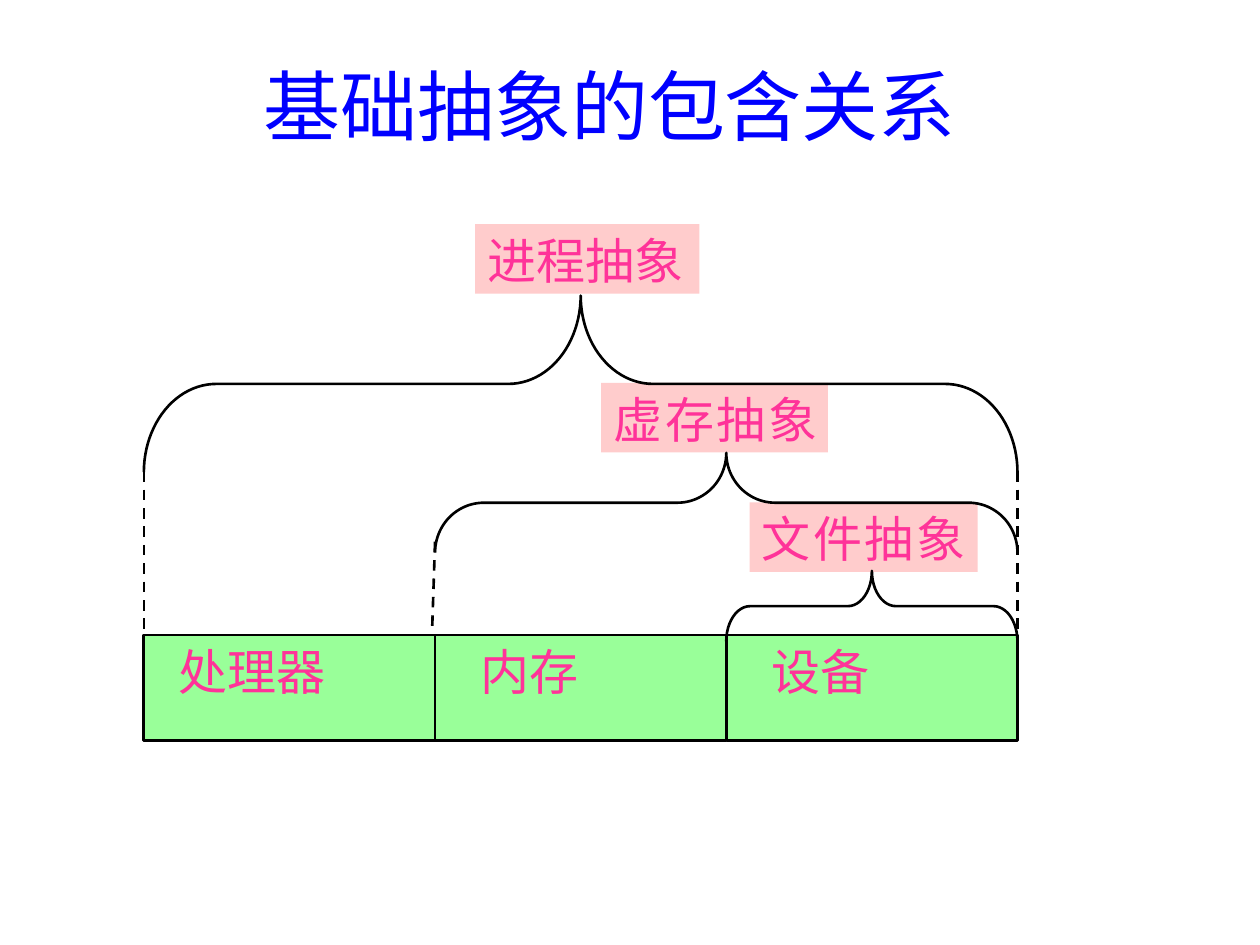
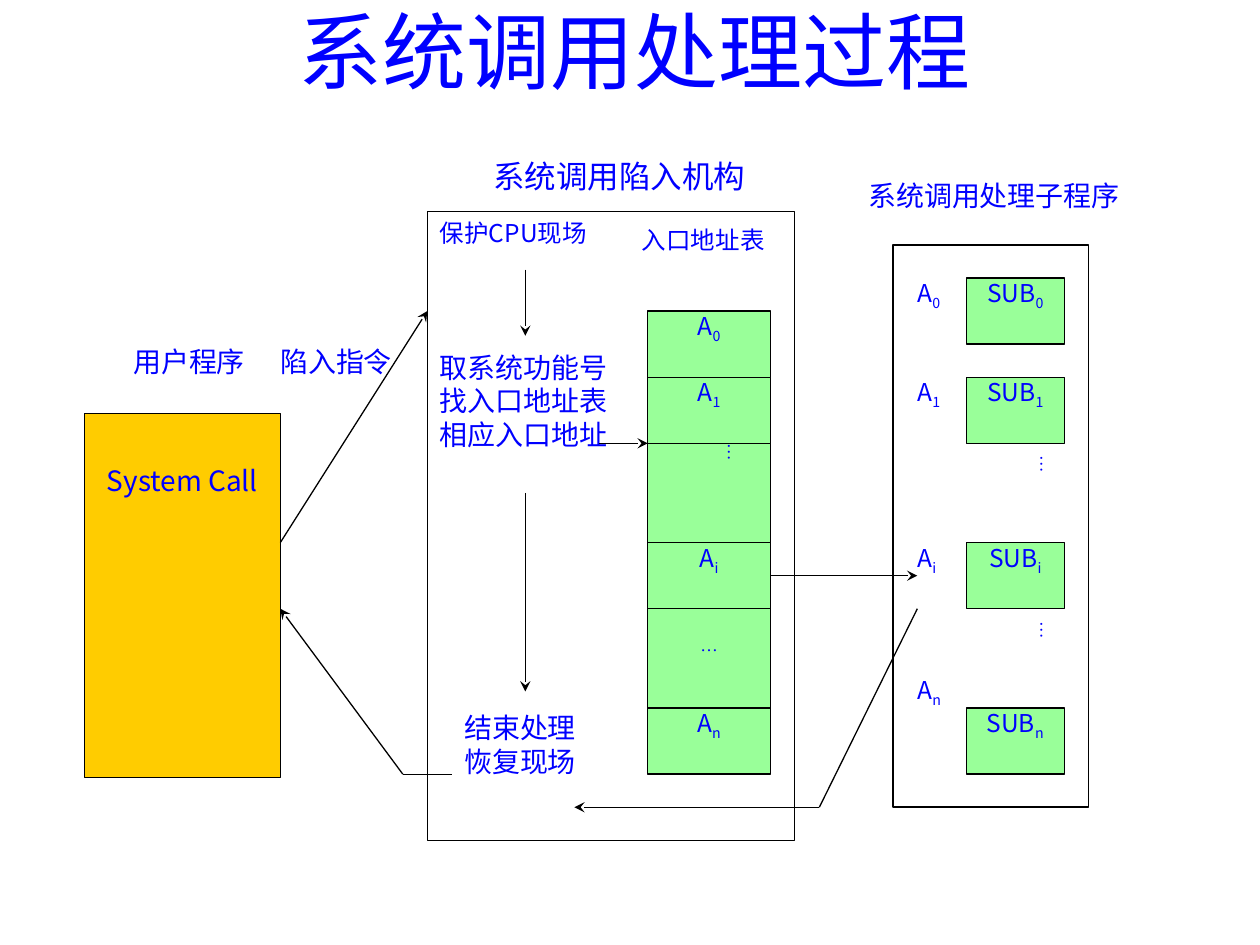
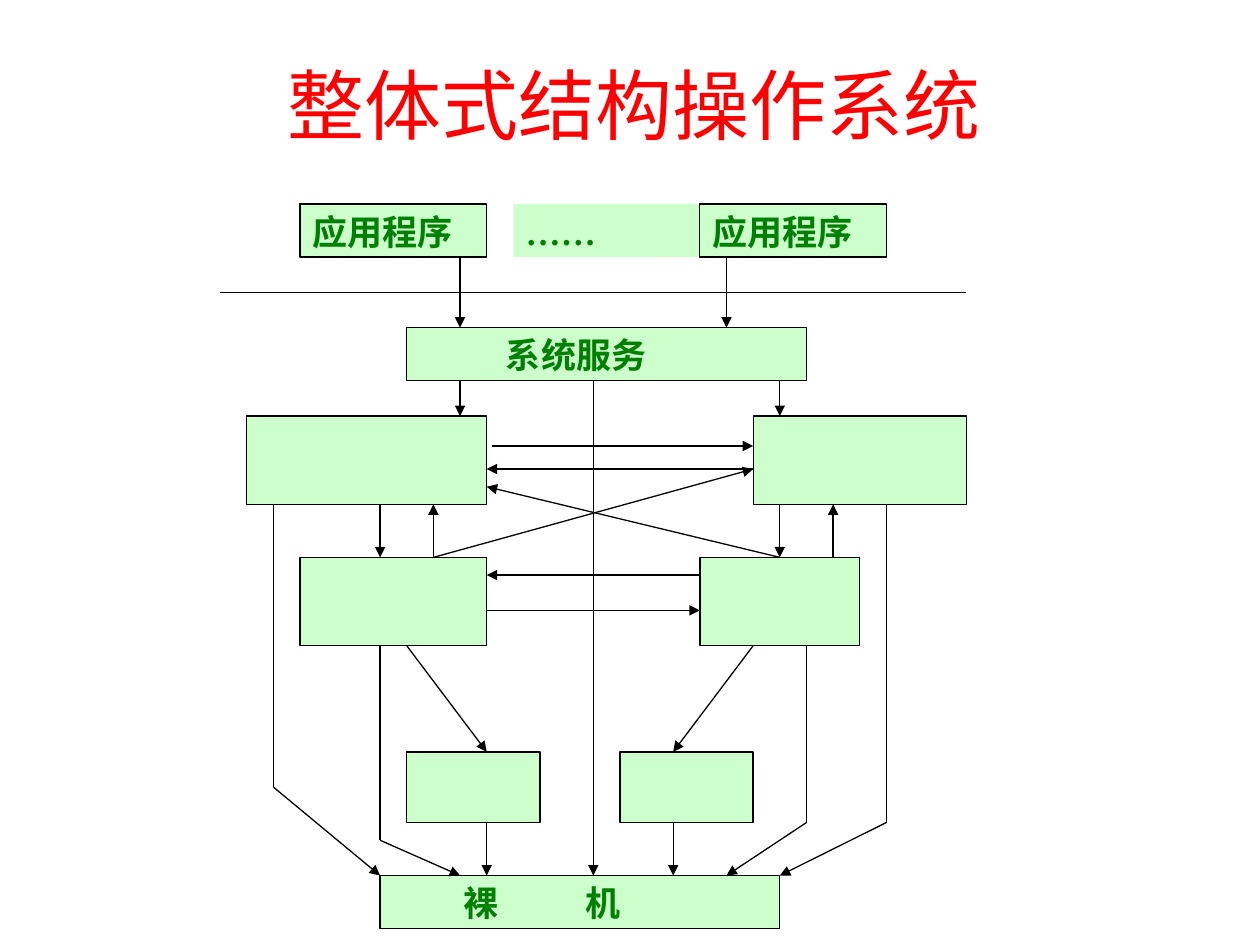
from dataclasses import dataclass, field, replace
from itertools import pairwise
from typing import Optional

import lxml.etree
import pptx
import pptx.dml.color
import pptx.enum.dml
import pptx.enum.shapes
import pptx.enum.text
import pptx.oxml.ns
import pptx.util

Cm = pptx.util.Cm
ALIGN = pptx.enum.text.PP_ALIGN
ANCHOR = pptx.enum.text.MSO_ANCHOR
SHAPE = pptx.enum.shapes.MSO_SHAPE

# Shared look
BLACK, BLUE, RED = "000000", "0000FF", "FF0000"
PINK, ROSE, GREEN, MINT = "FF3399", "FFCCCC", "99FF99", "CCFFCC"
ORANGE, DARK_GREEN = "FFCC00", "008000"
GOTHIC, SERIF = "Noto Sans CJK JP", "Times New Roman"
TIGHT = dict.fromkeys(("margin_left", "margin_top", "margin_right", "margin_bottom"), 0)


@dataclass(frozen=True)
class TextStyle:
    size: float
    color: str = BLUE
    font: str = GOTHIC
    bold: bool = False
    align: ALIGN = ALIGN.JUSTIFY
    anchor: ANCHOR = ANCHOR.TOP
    spacing: Optional[float] = None  # between letters, in points
    tab: Optional[float] = None  # in cm
    vertical: bool = False
    margins: dict[str, float] = field(default_factory=dict)  # in cm


@dataclass(frozen=True)
class Block:
    """A rectangle or label; an underscore in the text starts a subscript."""
    left: float
    top: float
    width: float
    height: float
    text: str = ""
    style: Optional[TextStyle] = None
    fill: Optional[str] = None
    border: Optional[float] = None


@dataclass(frozen=True)
class Route:
    points: tuple[tuple[float, float], ...]
    arrow: Optional[str] = None
    width: float = 0.75
    dashed: bool = False


@dataclass(frozen=True)
class Grid:
    """Turns column and row numbers into cm."""
    left: float
    top: float
    right: float
    bottom: float
    columns: int
    rows: int

    def x(self, column: float) -> float:
        return self.left + column * (self.right - self.left) / self.columns

    def y(self, row: float) -> float:
        return self.top + row * (self.bottom - self.top) / self.rows

    def block(self, cell: Block) -> Block:
        left, top = self.x(cell.left), self.y(cell.top)
        return replace(cell, left=left, top=top,
                       width=self.x(cell.left + cell.width) - left,
                       height=self.y(cell.top + cell.height) - top)

    def route(self, route: Route) -> Route:
        return replace(route, points=tuple((self.x(c), self.y(r)) for c, r in route.points))


def rgb(color: str) -> pptx.dml.color.RGBColor:
    return pptx.dml.color.RGBColor.from_string(color)


def add_element(parent, tag: str, **attributes: str):
    element = lxml.etree.SubElement(parent, pptx.oxml.ns.qn(tag))
    for name, value in attributes.items():
        element.set(name, value)
    return element


def write_text(shape, text: str, style: TextStyle) -> None:
    frame = shape.text_frame
    frame.word_wrap = True
    frame.vertical_anchor = style.anchor
    for name, value in style.margins.items():
        setattr(frame, name, Cm(value))
    if style.vertical:
        frame._txBody.bodyPr.set("vert", "eaVert")
    font_values = {"size": pptx.util.Pt(style.size), "name": style.font, "bold": style.bold}
    for number, line in enumerate(text.split("\n")):
        para = frame.add_paragraph() if number else frame.paragraphs[0]
        para.alignment = style.align
        if style.tab:
            tabs = add_element(para._p.get_or_add_pPr(), "a:tabLst")
            add_element(tabs, "a:tab", pos=str(Cm(style.tab)), algn="l")
        for part, words in enumerate(line.split("_")):
            span = para.add_run()
            span.text = words
            for name, value in font_values.items():
                setattr(span.font, name, value)
            span.font.color.rgb = rgb(style.color)
            properties = span._r.get_or_add_rPr()
            if part:
                properties.set("baseline", "-25000")
            if style.spacing:
                properties.set("spc", str(int(style.spacing * 100)))


def set_border(shape, width: Optional[float]) -> None:
    if width is None:
        shape.line.fill.background()
    else:
        shape.line.color.rgb = rgb(BLACK)
        shape.line.width = pptx.util.Pt(width)


def draw_block(page, block: Block) -> None:
    place = [Cm(n) for n in (block.left, block.top, block.width, block.height)]
    if block.fill or block.border:
        shape = page.shapes.add_shape(SHAPE.RECTANGLE, *place)
        shape.shadow.inherit = False
        if block.fill:
            shape.fill.solid()
            shape.fill.fore_color.rgb = rgb(block.fill)
        else:
            shape.fill.background()
        set_border(shape, block.border)
    else:
        shape = page.shapes.add_textbox(*place)
    if block.style:
        write_text(shape, block.text, block.style)


def draw_route(page, route: Route) -> None:
    """Draw straight pieces through the points, with the arrowhead on the last."""
    for start, end in pairwise(route.points):
        line = page.shapes.add_connector(pptx.enum.shapes.MSO_CONNECTOR.STRAIGHT,
                                         *(Cm(n) for n in start + end))
        set_border(line, route.width)
        if route.dashed:
            line.line.dash_style = pptx.enum.dml.MSO_LINE.DASH
        if route.arrow and end == route.points[-1]:
            add_element(line.line._get_or_add_ln(), "a:tailEnd", type=route.arrow)
        add_element(line._element.spPr, "a:effectLst")


def draw_brace(page, left: float, top: float, width: float, height: float, curve: float) -> None:
    """Draw a brace pointing up: a left brace turned by 90 degrees."""
    brace = page.shapes.add_shape(
        SHAPE.LEFT_BRACE, Cm(left + (width - height) / 2), Cm(top + (height - width) / 2),
        Cm(height), Cm(width))
    brace.rotation = 90
    brace.adjustments[0] = curve
    brace.shadow.inherit = False
    brace.fill.background()
    set_border(brace, 1.5)


def add_page(deck, title: Block):
    page = deck.slides.add_slide(deck.slide_layouts[6])
    draw_block(page, title)
    return page


def title_style(size: float, color: str = BLUE, font: str = "Calibri", **margins: float) -> TextStyle:
    return TextStyle(size, color, font, align=ALIGN.CENTER, anchor=ANCHOR.MIDDLE, margins=margins)


def build_abstractions(deck) -> None:
    page = add_page(deck, Block(1.5, 0.53, 21.59, 3.18, "基础抽象的包含关系", title_style(44)))
    label = TextStyle(28, PINK)
    wide_label = replace(label, spacing=1.5, margins={"margin_right": 0})
    for left, top, width, text, style in (
            (15.11, 10.13, 4.6, "文件抽象", wide_label),
            (12.12, 7.72, 4.57, "虚存抽象", wide_label),
            (9.58, 4.52, 4.52, "进程抽象", label)):
        draw_block(page, Block(left, top, width, 1.4, text, style, ROSE))

    # Row of resources
    first, step, row_top = 2.9, 5.87, 12.8
    for index, (text, indent) in enumerate((("处理器", 0.7), ("内存", 0.92), ("设备", 0.92))):
        style = replace(label, margins={"margin_left": indent})
        draw_block(page, Block(first + index * step, row_top, step, 2.13, text, style, GREEN, 1.5))

    # Each brace spans from one resource to the right end
    for index, top, height, curve in ((2, 11.51, 1.42, 0.34), (1, 9.13, 2.01, 0.49),
                                      (0, 5.96, 3.56, 0.41)):
        draw_brace(page, first + index * step, top, (3 - index) * step, height, curve)
    right = first + 3 * step
    for top_x, top, bottom_x in ((first + step, 10.92, 8.71), (first, 9.5, first),
                                 (right, 9.5, right)):
        draw_route(page, Route(((top_x, top), (bottom_x, 12.73)), width=1.5, dashed=True))


def build_system_call(deck) -> None:
    page = add_page(deck, Block(1.09, 0.36, 23.39, 3.18, "系统调用处理过程",
                                title_style(48, margin_top=0, margin_bottom=1.9)))
    grid = Grid(1.7, 4.27, 21.95, 16.94, 41, 19)
    small, middle = TextStyle(14), TextStyle(16)
    small_tight, middle_tight = (replace(s, margins=TIGHT) for s in (small, middle))
    cell = replace(small_tight, align=ALIGN.CENTER)
    call = replace(middle, align=ALIGN.CENTER, margins={"margin_top": 1})
    dots = TextStyle(10, font=SERIF, vertical=True)
    table_dots = replace(dots, margins=TIGHT | {"margin_right": 0.5})
    flat_dots = replace(dots, vertical=False, align=ALIGN.CENTER,
                        margins=TIGHT | {"margin_top": 0.5})

    blocks = [
        # User program
        Block(0, 6.1, 8, 11, "System Call", call, ORANGE, 0.75),
        Block(2, 4, 5, 2, "用户程序", middle_tight),
        Block(8, 4, 5, 2, "陷入指令", middle_tight),
        # Trap mechanism
        Block(14, 0, 15, 19, border=0.75),
        Block(16.7, -1.65, 10.7, 1.15, "系统调用陷入机构", TextStyle(18, margins=TIGHT)),
        Block(14, 0, 8, 3.2, "保护CPU现场", small),
        Block(14, 4, 8, 4.5, "取系统功能号\n找入口地址表\n相应入口地址", middle),
        Block(15, 14.9, 6, 3.4, "结束处理\n恢复现场", middle),
        Block(22.25, 0.2, 6.4, 1.9, "入口地址表", small),
        # Handling routines
        Block(33, 1, 8, 17, border=0.75),
        Block(32, -1, 10.85, 2, "系统调用处理子程序", middle_tight),
        Block(36, 7, 4, 3, "…", dots),
        Block(36, 12, 4, 3, "…", dots),
    ]
    for index, label_row, routine_row in (("0", 2, 2), ("1", 5, 5), ("i", 10, 10), ("n", 14, 15)):
        blocks.append(Block(34, label_row, 2, 2, f"A_{index}", small_tight))
        blocks.append(Block(36, routine_row, 4, 2, f"SUB_{index}", cell, GREEN, 0.75))
    # Entry address table, stacked from the top
    row = 3
    for text, rows, style in (("A_0", 2, cell), ("A_1", 2, cell), ("…", 3, table_dots),
                              ("A_i", 2, cell), ("…", 3, flat_dots), ("A_n", 2, cell)):
        blocks.append(Block(23, row, 5, rows, text, style, GREEN, 0.75))
        row += rows
    for block in blocks:
        draw_block(page, grid.block(block))

    for points in (((18, 1.75), (18, 3.75)), ((18, 8.5), (18, 14.5)), ((21, 7), (23, 7)),
                   ((15, 17), (13, 17), (8, 12)), ((8, 10), (14, 3)),
                   ((28, 11), (34, 11)), ((34, 12), (30, 18), (20, 18))):
        draw_route(page, grid.route(Route(points, "stealth")))


def build_monolith(deck) -> None:
    page = add_page(deck, Block(1.09, 0.36, 23.39, 3.18, "整体式结构操作系统",
                                title_style(44, RED, GOTHIC, margin_top=0.3, margin_bottom=0)))
    grid = Grid(4.44, 4.11, 19.48, 18.72, 28, 41)
    label = TextStyle(20, DARK_GREEN, SERIF, bold=True)
    service = replace(label, margins={"margin_left": 2})
    machine = replace(label, tab=2.46, margins={"margin_left": 1.68})

    # Programs, services, bare machine
    for left, top, width, text, style, border in (
            (11, 0, 7, "……", label, None), (3, 0, 7, "应用程序", label, 0.75),
            (18, 0, 7, "应用程序", label, 0.75), (7, 7, 15, "系统服务", service, 0.75),
            (6, 38, 15, "裸\t机", machine, 0.75)):
        draw_block(page, grid.block(Block(left, top, width, 3, text, style, MINT, border)))
    # Unnamed modules
    for left, top, width, height in ((1, 12, 9, 5), (20, 12, 8, 5), (3, 20, 7, 5),
                                     (18, 20, 6, 5), (7, 31, 5, 4), (15, 31, 5, 4)):
        draw_block(page, grid.block(Block(left, top, width, height, fill=MINT, border=0.75)))

    draw_route(page, grid.route(Route(((0, 5), (28, 5)))))
    # Straight down or up: column, first row, last row
    calls = [((column, start), (column, end)) for column, start, end in (
        (9, 0 + 3, 7), (19, 3, 7), (9, 10, 12), (21, 10, 12), (14, 10, 38), (6, 17, 20),
        (21, 17, 20), (8, 20, 17), (23, 20, 17), (10, 35, 38), (17, 35, 38))]
    # Across: row, first column, last column
    calls += [((start, row), (end, row)) for row, start, end in (
        (13.7, 10.2, 20), (15, 20, 10), (21, 18, 10), (23, 10, 18))]
    # Slanted and bent
    calls += [((21, 20), (10, 16)), ((8, 20), (20, 15)), ((7, 25), (10, 31)), ((20, 25), (17, 31)),
              ((2, 17), (2, 33), (6, 38)), ((6, 25), (6, 36), (9, 38)),
              ((22, 25), (22, 35), (19, 38)), ((25, 17), (25, 35), (21, 38))]
    for points in calls:
        draw_route(page, grid.route(Route(points, "triangle")))


def main() -> None:
    deck = pptx.Presentation()
    deck.slide_width, deck.slide_height = Cm(25.4), Cm(19.05)
    build_abstractions(deck)
    build_system_call(deck)
    build_monolith(deck)
    deck.save("out.pptx")


if __name__ == "__main__":
    main()
